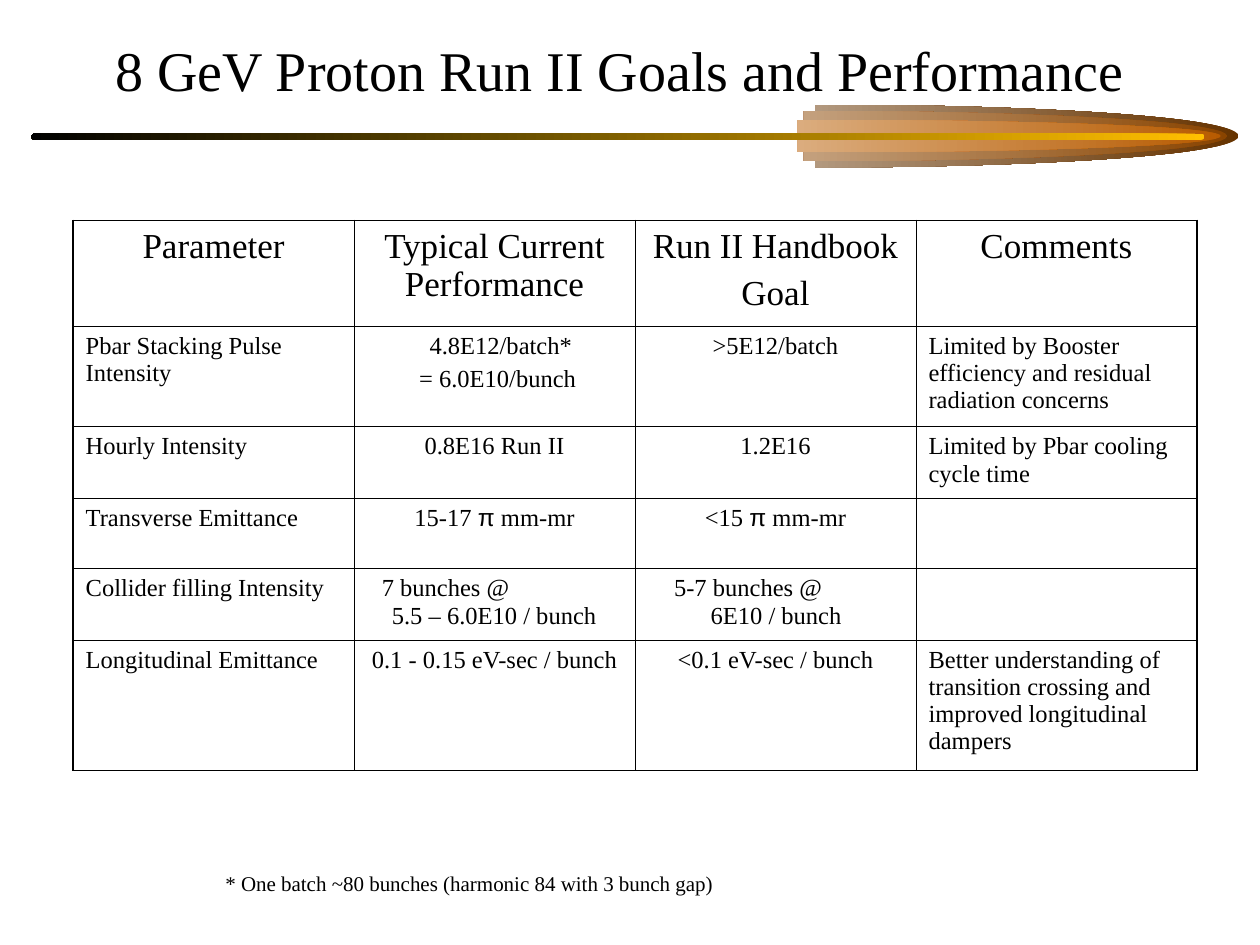
from dataclasses import dataclass

from lxml import etree
from pptx import Presentation
from pptx.dml.color import RGBColor
from pptx.enum.shapes import MSO_SHAPE
from pptx.enum.text import MSO_ANCHOR, PP_ALIGN
from pptx.oxml.ns import qn
from pptx.util import Inches, Pt

BLACK = RGBColor(0x00, 0x00, 0x00)
WHITE = RGBColor(0xFF, 0xFF, 0xFF)
GOLD = RGBColor(0xFF, 0xBF, 0x00)
BROWN = RGBColor(0x66, 0x33, 0x00)
RUST = RGBColor(0x89, 0x44, 0x00)
AMBER = RGBColor(0xB7, 0x5B, 0x00)
LEFT, CENTER = PP_ALIGN.LEFT, PP_ALIGN.CENTER
MIDDLE, TOP = MSO_ANCHOR.MIDDLE, MSO_ANCHOR.TOP
ROUNDED = MSO_SHAPE.ROUNDED_RECTANGLE

SERIF, SANS = "Times New Roman", "Arial"
PAGE_W, PAGE_H = 10, 7.5
TABLE_LEFT, TABLE_TOP, COLUMN_W = 0.58, 1.75, 2.23
ROW_HEIGHTS = (0.82, 0.8, 0.55, 0.56, 0.55, 1.03)
HEADER_SIZE, BODY_SIZE = 20, 14
INNER_LINE, OUTER_LINE = 0.45, 1.08
COMET_Y, COMET_LENGTH = 1.08, 3.37

# Half an ellipse as three Bezier curves, in shares of its two radii
HALF_ELLIPSE = ((0, -1), (0.36, -1), (0.69, -0.81), (0.87, -0.5),
                (1.04, -0.19), (1.04, 0.19), (0.87, 0.5),
                (0.69, 0.81), (0.36, 1), (0, 1))


@dataclass(frozen=True)
class CometLayer:
    middle: float
    half_height: float
    color: RGBColor


@dataclass(frozen=True)
class Line:
    """One paragraph; margin and first-line indent in inches."""
    text: str
    align: PP_ALIGN = CENTER
    margin: float = 0
    indent: float = 0


COMET = (
    CometLayer(6.47, 0.25, BROWN),
    CometLayer(6.38, 0.2, RUST),
    CometLayer(6.33, 0.13, AMBER),
)


def left(text: str) -> list[Line]:
    return [Line(text, LEFT)]


def centered(*texts: str) -> list[Line]:
    return [Line(text) for text in texts]


ROWS = (
    (centered("Parameter"), centered("Typical Current Performance"),
     centered("Run II Handbook", "Goal"), centered("Comments")),
    (left("Pbar Stacking Pulse Intensity"),
     [Line("4.8E12/batch*", margin=0.1), Line("= 6.0E10/bunch", margin=0.05)],
     centered(">5E12/batch"),
     left("Limited by Booster efficiency and residual radiation concerns")),
    (left("Hourly Intensity"), centered("0.8E16 Run II"), centered("1.2E16"),
     left("Limited by Pbar cooling cycle time")),
    (left("Transverse Emittance"), centered("15-17 π mm-mr"),
     centered("<15 π mm-mr"), []),
    (left("Collider filling Intensity"),
     [Line("7 bunches @\v5.5 – 6.0E10 / bunch", LEFT, 0.2, -0.08)],
     [Line("5-7 bunches @\v6E10 / bunch", LEFT, 0.5, -0.29)], []),
    (left("Longitudinal Emittance"), centered("0.1 - 0.15 eV-sec / bunch"),
     centered("<0.1 eV-sec / bunch"),
     left("Better understanding of transition crossing and improved "
          "longitudinal dampers")),
)


def paint_gradient(shape, right_color: RGBColor, left_color: RGBColor) -> None:
    """Fill from right to left, without outline or shadow."""
    shape.shadow.inherit = False
    shape.line.fill.background()
    shape.fill.gradient()
    shape.fill.gradient_angle = 180
    for stop, color in zip(shape.fill.gradient_stops, (right_color, left_color)):
        stop.color.rgb = color


def add_comet_layer(page, layer: CometLayer) -> None:
    points = [(Inches(layer.middle + COMET_LENGTH * x),
               Inches(COMET_Y + layer.half_height * y)) for x, y in HALF_ELLIPSE]
    builder = page.shapes.build_freeform(*points[0])
    builder.add_line_segments(points[1:], close=True)
    shape = builder.convert_to_shape()
    outline = next(shape._element.iter(qn("a:path")))

    # The frame spans the whole ellipse, of which the right half is drawn
    radius = Inches(COMET_LENGTH)
    for point in outline.iter(qn("a:pt")):
        point.set("x", str(int(point.get("x")) + radius))
    outline.set("w", str(2 * radius))
    shape.left, shape.width = Inches(layer.middle) - radius, 2 * radius

    # Every three straight segments become one curve
    segments = outline.findall(qn("a:lnTo"))
    for first in range(0, len(segments), 3):
        curve, *others = segments[first:first + 3]
        bezier = etree.Element(qn("a:cubicBezTo"))
        outline.replace(curve, bezier)
        for segment in (curve, *others):
            bezier.append(segment[0])
        for segment in others:
            outline.remove(segment)
    paint_gradient(shape, layer.color, WHITE)


def set_font(para, size: float) -> None:
    para.font.name = SERIF
    para.font.size = Pt(size)
    para.font.color.rgb = BLACK


def add_text(page, text: str, box_at: tuple, size: float,
             align: PP_ALIGN, anchor: MSO_ANCHOR) -> None:
    box = page.shapes.add_textbox(*map(Inches, box_at))
    frame = box.text_frame
    frame.word_wrap = True
    frame.vertical_anchor = anchor
    para = frame.paragraphs[0]
    para.text = text
    para.alignment = align
    set_font(para, size)


def write_line(para, line: Line, size: float) -> None:
    before, symbol, after = line.text.partition("π")
    if symbol:
        for text, font in ((before, SERIF), (symbol, SANS), (after, SERIF)):
            span = para.add_run()
            span.text = text
            span.font.name = font
    else:
        para.text = line.text
    para.alignment = line.align
    if line.margin:
        properties = para._p.get_or_add_pPr()
        properties.set("marL", str(Inches(line.margin)))
        properties.set("indent", str(Inches(line.indent)))
    set_font(para, size)


def draw_borders(cell, outer_sides: dict[str, bool]) -> None:
    properties = cell._tc.get_or_add_tcPr()
    for side, is_outer in outer_sides.items():
        width = Pt(OUTER_LINE if is_outer else INNER_LINE)
        line = etree.SubElement(properties, qn(f"a:ln{side}"), w=str(width))
        fill = etree.SubElement(line, qn("a:solidFill"))
        etree.SubElement(fill, qn("a:srgbClr"), val=str(BLACK))


def add_goals_table(page) -> None:
    row_count, column_count = len(ROWS), len(ROWS[0])
    table = page.shapes.add_table(
        row_count, column_count, Inches(TABLE_LEFT), Inches(TABLE_TOP),
        Inches(COLUMN_W * column_count), Inches(sum(ROW_HEIGHTS))).table
    table.first_row = table.horz_banding = False
    for column in table.columns:
        column.width = Inches(COLUMN_W)
    for r, (height, row) in enumerate(zip(ROW_HEIGHTS, ROWS)):
        table.rows[r].height = Inches(height)
        size = BODY_SIZE if r else HEADER_SIZE
        for c, lines in enumerate(row):
            cell = table.cell(r, c)
            draw_borders(cell, {"L": c == 0, "R": c == column_count - 1,
                                "T": r == 0, "B": r == row_count - 1})
            cell.fill.background()
            for number, line in enumerate(lines):
                frame = cell.text_frame
                para = frame.add_paragraph() if number else frame.paragraphs[0]
                write_line(para, line, size)
                if number:
                    para.space_before = Pt(size / 4)


def main() -> None:
    deck = Presentation()
    deck.slide_width, deck.slide_height = Inches(PAGE_W), Inches(PAGE_H)
    page = deck.slides.add_slide(deck.slide_layouts[6])
    # Comet and the bar that runs through it
    for layer in COMET:
        add_comet_layer(page, layer)
    bar = page.shapes.add_shape(ROUNDED, *map(Inches, (0.25, 1.06, 9.31, 0.05)))
    bar.adjustments[0] = 0.5
    paint_gradient(bar, GOLD, BLACK)
    # Title, table and footnote
    add_text(page, "8 GeV Proton Run II Goals and Performance",
             (0.67, 0.17, 8.5, 0.75), 32, CENTER, MIDDLE)
    add_goals_table(page)
    add_text(page, "* One batch ~80 bunches (harmonic 84 with 3 bunch gap)",
             (1.69, 6.86, 4.64, 0.3), 12, LEFT, TOP)
    deck.save("out.pptx")


if __name__ == "__main__":
    main()
